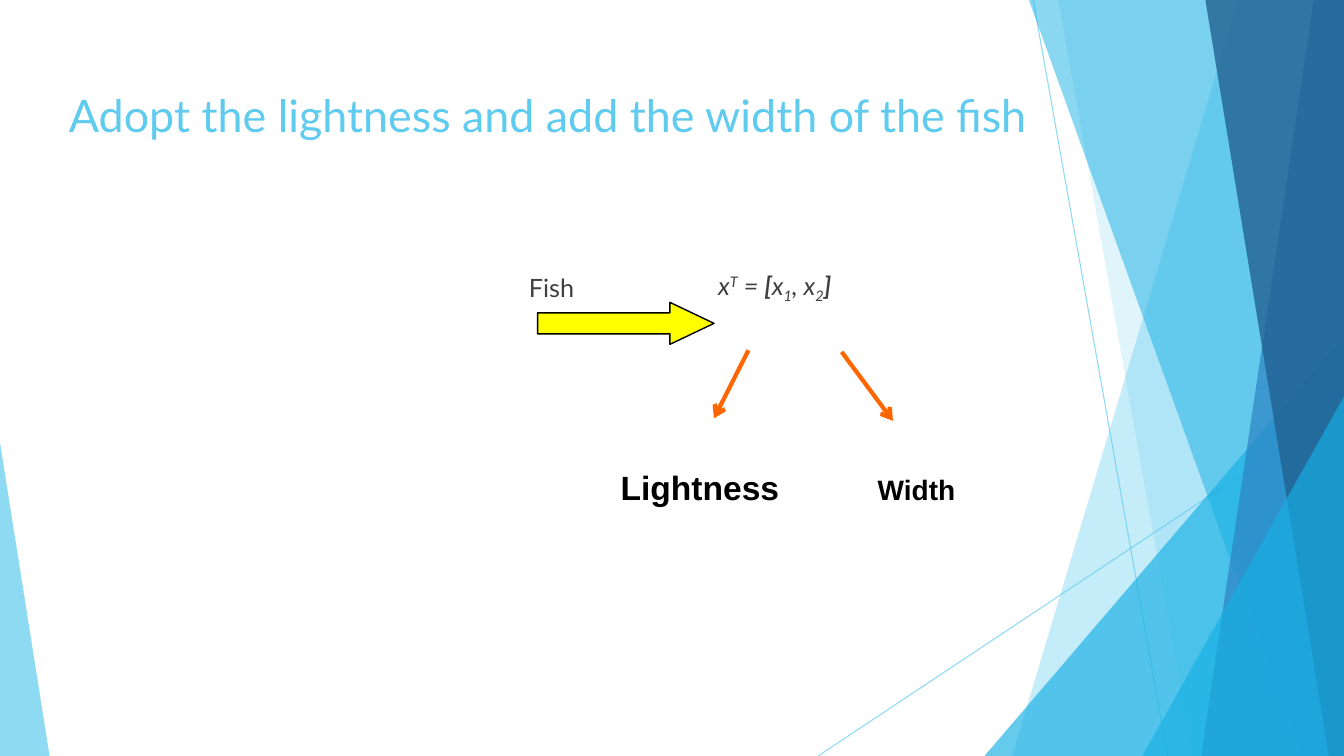
from dataclasses import dataclass

from lxml.etree import SubElement
from pptx import Presentation
from pptx.dml.color import RGBColor
from pptx.enum.shapes import MSO_CONNECTOR, MSO_SHAPE
from pptx.enum.text import MSO_ANCHOR, MSO_AUTO_SIZE, PP_ALIGN
from pptx.oxml.ns import qn
from pptx.util import Inches, Pt

COLUMNS, ROWS = 80, 45
UNIT = Inches(7.5) / ROWS
SKY, CYAN, BLUE, NAVY = "5FCBEF", "17B0E4", "2E83C3", "226292"
ORANGE, YELLOW, BLACK, GRAY = "FF6600", "FFFF00", "000000", "404040"
FRAME = {"word_wrap": True, "auto_size": MSO_AUTO_SIZE.NONE}
NO_INSETS = {"margin_left": 0, "margin_right": 0, "margin_top": 0, "margin_bottom": 0}


@dataclass
class Region:
    column: float
    row: float
    columns: float
    rows: float

    def point(self, column, row):
        return round((self.column + column) * UNIT), round((self.row + row) * UNIT)

    def box(self, column, row, columns, rows):
        return *self.point(column, row), round(columns * UNIT), round(rows * UNIT)


def color(value):
    return RGBColor.from_string(value)


def apply(target, values):
    for name, value in values.items():
        setattr(target, name, value)


def set_alpha(fill_parent, percent):
    tint = next(fill_parent.iter(qn("a:srgbClr")))
    SubElement(tint, qn("a:alpha"), val=str(percent * 1000))


def paint(shape, fill, percent=100):
    shape.shadow.inherit = False
    shape.fill.solid()
    shape.fill.fore_color.rgb = color(fill)
    shape.line.fill.background()
    set_alpha(shape.element.spPr, percent)


def add_line(slide, start, end, tint, width, percent=100, arrow=False):
    connector = slide.shapes.add_connector(MSO_CONNECTOR.STRAIGHT, *start, *end)
    connector.line.color.rgb = color(tint)
    connector.line.width = Pt(width)
    properties = connector.element.spPr
    set_alpha(properties, percent)
    if arrow:
        SubElement(properties.find(qn("a:ln")), qn("a:tailEnd"), type="arrow")
    SubElement(properties, qn("a:effectLst"))


def add_run(paragraph, text, font, tint, baseline=0):
    run = paragraph.add_run()
    run.text = text
    apply(run.font, font)
    run.font.color.rgb = color(tint)
    if baseline:
        run._r.get_or_add_rPr().set("baseline", str(baseline * 1000))


def move(shape, box):
    apply(shape, dict(zip(("left", "top", "width", "height"), box)))


def add_ribbon(slide, region, top, bottom, tint, percent):
    corners = [(top, 0), (region.columns, 0), (region.columns, region.rows), (bottom, region.rows)]
    points = [region.point(*corner) for corner in corners]
    builder = slide.shapes.build_freeform(*points[0])
    builder.add_line_segments(points[1:], close=True)
    paint(builder.convert_to_shape(), tint, percent)


def add_wedge(slide, region, box, peak, tint, percent):
    wedge = slide.shapes.add_shape(MSO_SHAPE.ISOSCELES_TRIANGLE, *region.box(*box))
    wedge.adjustments[0] = peak
    paint(wedge, tint, percent)


def add_backdrop(slide, region):
    for start, end in (((61.5, 0), (69.5, 45)), ((80, 24.2), (48.7, 45))):
        add_line(slide, region.point(*start), region.point(*end), SKY, 0.75, 70)
    add_ribbon(slide, region, 73.7, 60.25, SKY, 36)
    add_ribbon(slide, region, 63, 71, SKY, 20)
    add_wedge(slide, region, (58.6, 20, 21.4, 25), 1, CYAN, 66)
    add_ribbon(slide, region, 61.25, 77.45, CYAN, 50)
    add_ribbon(slide, region, 78.2, 71.5, BLUE, 70)
    add_ribbon(slide, region, 71.75, 79.1, NAVY, 80)
    add_wedge(slide, region, (68, 23.6, 12, 21.4), 1, CYAN, 66)
    add_wedge(slide, region, (0, 26.35, 2.95, 18.65), 0, SKY, 70)


def add_formula(slide, region):
    body = slide.placeholders[1]
    slide.shapes.element.append(body.element)
    move(body, region.box(11.25, 0.1, 9.75, 3))
    frame = body.text_frame
    apply(frame, FRAME | NO_INSETS | {"vertical_anchor": MSO_ANCHOR.MIDDLE})
    paragraph = frame.paragraphs[0]
    apply(paragraph, {"alignment": PP_ALIGN.LEFT, "space_before": Pt(0)})
    properties = paragraph._p.get_or_add_pPr()
    for name in ("marL", "indent"):
        properties.set(name, "0")
    SubElement(properties, qn("a:buNone"))
    pieces = (("x", 0, False), ("T", 30, False), (" = ", 0, False), ("[", 0, True),
              ("x", 0, False), ("1", -25, False), (", x", 0, False),
              ("2", -25, False), ("]", 0, True))
    for text, baseline, bold in pieces:
        font = {"name": "Lato", "size": Pt(18), "italic": True, "bold": bold}
        add_run(paragraph, text, font, GRAY, baseline)


def add_diagram(slide, region):
    add_formula(slide, region)
    arrow = slide.shapes.add_shape(MSO_SHAPE.RIGHT_ARROW, *region.box(0.5, 2.5, 10.5, 2.5))
    paint(arrow, YELLOW)
    arrow.adjustments[1] = 1.05
    arrow.line.color.rgb = color(BLACK)
    arrow.line.width = Pt(1)
    labels = (
        ("Fish", "Lato", 18, False, GRAY, (-0.6, 0.4, 6, 2.4)),
        ("Lightness", "Arial", 24, True, BLACK, (4.85, 12, 12, 3)),
        ("Width", "Arial", 20, True, BLACK, (20.15, 12.35, 7, 2.6)),
    )
    for text, name, size, bold, tint, box in labels:
        label = slide.shapes.add_textbox(*region.box(*box))
        apply(label.text_frame, FRAME)
        font = {"name": name, "size": Pt(size), "bold": bold}
        add_run(label.text_frame.paragraphs[0], text, font, tint)
    for start, end in (((13.05, 5.35), (11, 9.4)), ((18.6, 5.45), (21.65, 9.55))):
        add_line(slide, region.point(*start), region.point(*end), ORANGE, 3, arrow=True)


def add_title(slide, region):
    title = slide.shapes.title
    slide.shapes.element.append(title.element)
    move(title, region.box(0, 0, region.columns, region.rows))
    apply(title.text_frame, FRAME | {"vertical_anchor": MSO_ANCHOR.TOP})
    paragraph = title.text_frame.paragraphs[0]
    paragraph.alignment = PP_ALIGN.LEFT
    font = {"name": "Lato", "size": Pt(32)}
    add_run(paragraph, "Adopt the lightness and add the width of the fish", font, SKY)


def main():
    presentation = Presentation()
    apply(presentation, {"slide_width": round(COLUMNS * UNIT), "slide_height": round(ROWS * UNIT)})
    slide = presentation.slides.add_slide(presentation.slide_layouts[1])
    add_backdrop(slide, Region(0, 0, COLUMNS, ROWS))
    add_diagram(slide, Region(31.5, 15.5, 28, 16))
    add_title(slide, Region(3.5, 4.9, 63.4, 7.1))
    presentation.save("out.pptx")


if __name__ == "__main__":
    main()
